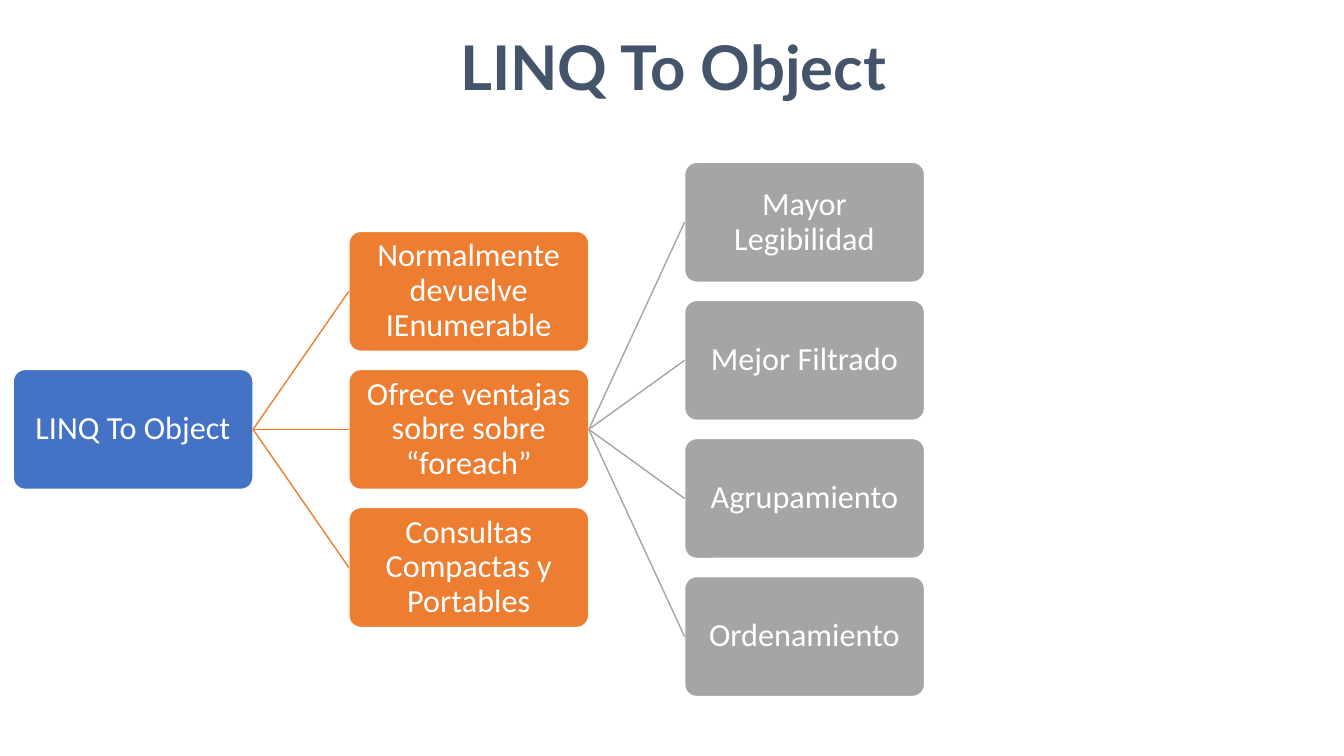
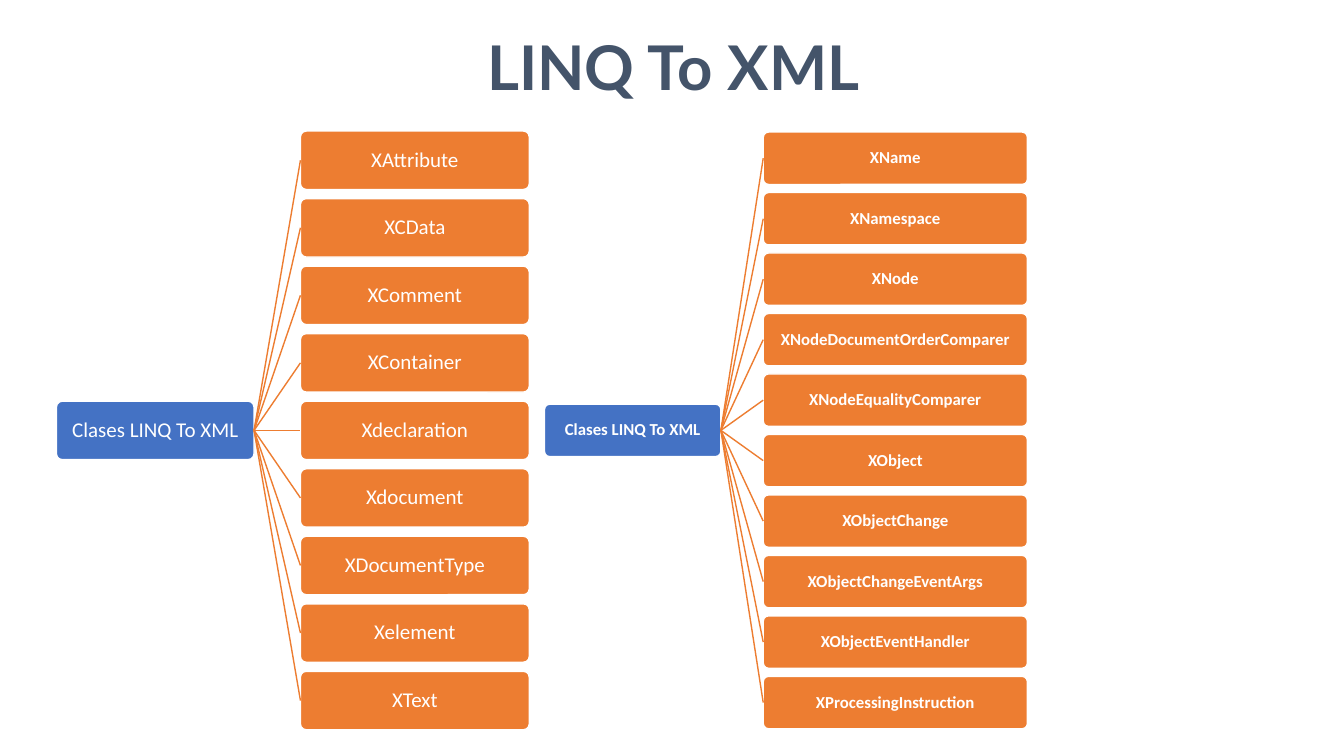
from pptx import Presentation
from pptx.dml.color import RGBColor
from pptx.enum import shapes, text
from pptx.oxml.ns import qn
from pptx.util import Inches, Pt
from lxml import etree

SLATE, BLUE, ORANGE, GRAY, WHITE = "44546A", "4472C4", "ED7D31", "A5A5A5", "FFFFFF"


def style_text(frame, font, size, colour, bold):
    """Centre the text of a frame and format its runs."""
    frame.word_wrap = True
    frame.auto_size = text.MSO_AUTO_SIZE.NONE
    frame.vertical_anchor = text.MSO_ANCHOR.MIDDLE
    for paragraph in frame.paragraphs:
        paragraph.alignment = text.PP_ALIGN.CENTER
        for run in paragraph.runs:
            run.font.name, run.font.size, run.font.bold = font, Pt(size), bold
            run.font.color.rgb = RGBColor.from_string(colour)


def draw_tree(slide, levels, middle, height, pitch, size, bold=False):
    """Draw columns of boxes, each joined to the middle box of the column before."""
    parent = None
    for left, width, colour, labels in levels:
        top = middle - height / 2 - pitch * (len(labels) - 1) / 2
        nodes = []
        for row, label in enumerate(labels):
            node = slide.shapes.add_shape(
                shapes.MSO_SHAPE.ROUNDED_RECTANGLE, Inches(left),
                Inches(top + row * pitch), Inches(width), Inches(height))
            node.adjustments[0] = 0.1
            node.shadow.inherit = False
            node.fill.solid()
            node.fill.fore_color.rgb = RGBColor.from_string(colour)
            node.line.color.rgb = RGBColor.from_string(WHITE)
            node.line.width = Pt(1)
            frame = node.text_frame
            frame.margin_left = frame.margin_right = Inches(0.02)
            frame.margin_top = frame.margin_bottom = Inches(0.02)
            frame.text = label
            frame.paragraphs[0].line_spacing = 0.9
            style_text(frame, "Calibri", size, WHITE, bold)
            nodes.append(node)
            if parent is not None:
                branch = slide.shapes.add_connector(shapes.MSO_CONNECTOR.STRAIGHT, 0, 0, 0, 0)
                branch.begin_connect(parent, 3)
                branch.end_connect(node, 1)
                branch.line.color.rgb = RGBColor.from_string(colour)
                branch.line.width = Pt(1)
                etree.SubElement(branch._element.spPr, qn("a:effectLst"))
        parent = nodes[len(nodes) // 2]


prs = Presentation()
prs.slide_width, prs.slide_height = Inches(13.33), Inches(7.5)

object_tree = dict(middle=4.26, height=1.19, pitch=1.37, size=23, levels=[
    (0.13, 2.38, BLUE, ["LINQ To Object"]),
    (3.46, 2.38, ORANGE, ["Normalmente devuelve IEnumerable",
                          "Ofrece ventajas sobre sobre “foreach”",
                          "Consultas Compactas y Portables"]),
    (6.79, 2.38, GRAY, ["Mayor Legibilidad", "Mejor Filtrado", "Agrupamiento", "Ordenamiento"]),
])
first_classes = dict(middle=4.27, height=0.58, pitch=0.67, size=15, levels=[
    (0.56, 1.96, BLUE, ["Clases LINQ To XML"]),
    (2.98, 2.27, ORANGE, ["XAttribute", "XCData", "XComment", "XContainer", "Xdeclaration",
                          "Xdocument", "XDocumentType", "Xelement", "XText"]),
])
more_classes = dict(middle=4.27, height=0.52, pitch=0.6, size=12, bold=True, levels=[
    (5.4, 1.75, BLUE, ["Clases LINQ To XML"]),
    (7.57, 2.62, ORANGE, ["XName", "XNamespace", "XNode", "XNodeDocumentOrderComparer",
                          "XNodeEqualityComparer", "XObject", "XObjectChange",
                          "XObjectChangeEventArgs", "XObjectEventHandler",
                          "XProcessingInstruction"]),
])

for heading, trees in [("LINQ To Object", [object_tree]),
                       ("LINQ To XML", [first_classes, more_classes])]:
    slide = prs.slides.add_slide(prs.slide_layouts[5])
    title = slide.shapes.title
    title.left, title.top = Inches(0.13), Inches(0.26)
    title.width, title.height = Inches(13.1), Inches(0.79)
    title.text_frame.margin_top = title.text_frame.margin_bottom = Inches(0.02)
    title.text_frame.text = heading
    style_text(title.text_frame, "Lato", 44, SLATE, True)
    for tree in trees:
        draw_tree(slide, **tree)

prs.save("out.pptx")
